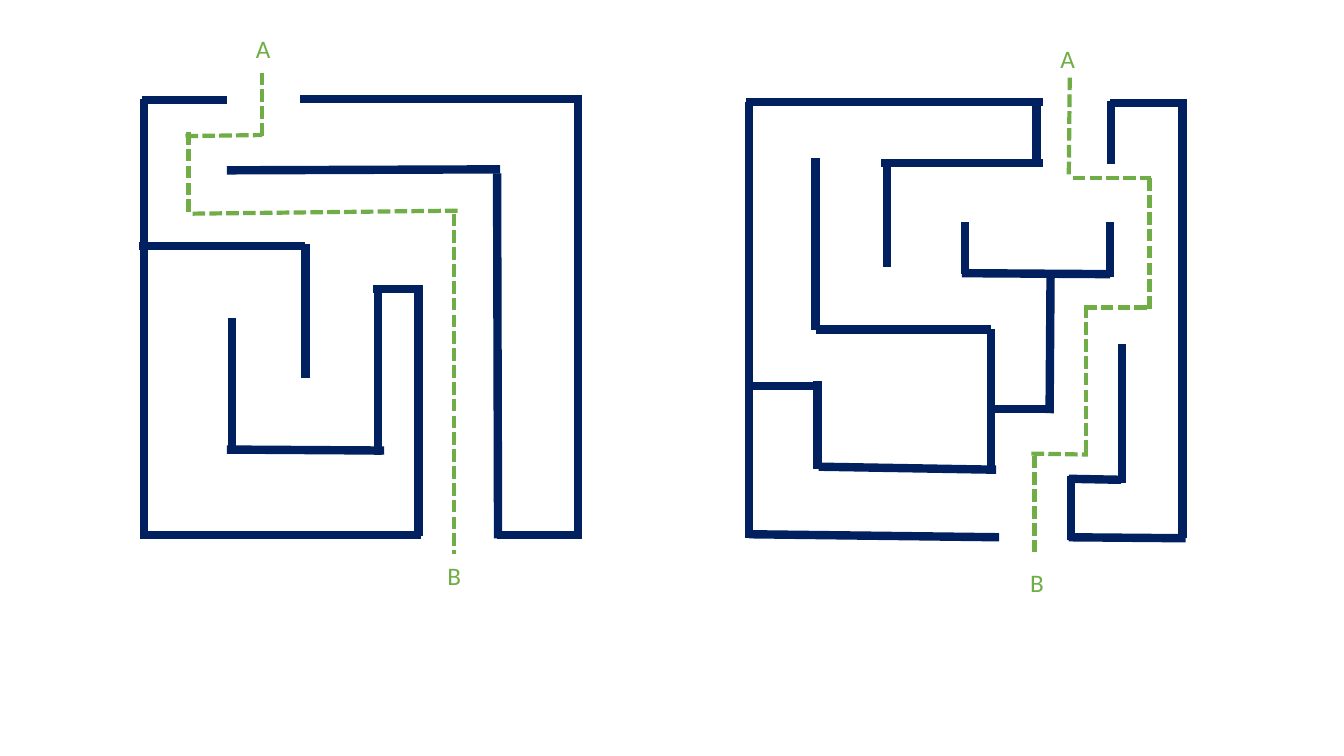
from pptx import Presentation
from pptx import util as u
from pptx.dml.color import RGBColor
from pptx.enum import dml, shapes, text
from pptx.oxml.ns import qn
from lxml import etree

COLORS = {"wall": "002060", "route": "70AD47"}
MAZE_SIZE = (4.3, 4.33)
LABEL_SIZE = (0.47, 0.4)

# Segments are (x1, y1, x2, y2) in inches from the maze's top left corner.
LEFT_MAZE = {
    "walls": [
        (-0.04, 4.33, 2.75, 4.33), (3.5, 4.33, 4.34, 4.33),
        (3.5, 0.74, 3.51, 4.36), (1.55, 0, 4.34, 0),
        (-0.02, 0.01, 0.82, 0.01), (0.82, 0.71, 3.53, 0.7),
        (-0.05, 1.46, 1.6, 1.46), (1.6, 1.44, 1.6, 2.77),
        (0.87, 2.17, 0.87, 3.5), (0.82, 3.48, 2.38, 3.49),
        (2.32, 1.89, 2.32, 3.53), (2.27, 1.89, 2.72, 1.89),
        (2.72, 1.85, 2.72, 4.34),
    ],
    "route": [
        (1.17, -0.26, 1.17, 0.39), (0.41, 0.37, 1.17, 0.36),
        (0.44, 0.33, 0.44, 1.14), (0.48, 1.14, 3.11, 1.11),
        (3.07, 1.14, 3.07, 4.52),
    ],
    "labels": {"A": (1.01, -0.7), "B": (2.91, 4.53)},
}
RIGHT_MAZE = {
    "walls": [
        (0, 4.29, 2.48, 4.32), (3.17, 4.32, 4.33, 4.33),
        (-0.03, 0, 2.91, 0), (3.58, 0.01, 4.34, 0.01),
        (0.69, 3.62, 2.45, 3.65), (0.68, 2.77, 0.68, 3.64),
        (0.66, 2.26, 2.4, 2.26), (0.66, 0.56, 0.66, 2.26),
        (1.37, 0.6, 1.37, 1.64), (1.31, 0.61, 2.91, 0.61),
        (2.85, -0.04, 2.85, 0.61), (2.14, 1.19, 2.14, 1.71),
        (2.11, 1.7, 3.58, 1.71), (3.58, 1.19, 3.58, 1.74),
        (3.59, -0.01, 3.59, 0.62), (2.4, 2.25, 2.4, 3.63),
        (0, 2.82, 0.69, 2.82), (3.19, 3.71, 3.19, 4.35),
        (3.17, 3.74, 3.69, 3.75), (3.7, 2.4, 3.7, 3.78),
        (2.99, 1.71, 2.98, 3.09), (2.4, 3.05, 2.98, 3.05),
    ],
    "route": [
        (3.18, -0.24, 3.17, 0.76), (3.21, 0.76, 3.99, 0.76),
        (3.97, 0.76, 3.97, 2.09), (3.32, 2.04, 3.96, 2.04),
        (3.34, 2.02, 3.34, 3.5), (2.8, 3.49, 3.36, 3.5),
        (2.83, 3.51, 2.83, 4.5),
    ],
    "labels": {"A": (2.99, -0.63), "B": (2.69, 4.57)},
}


def add_line(slide, left, top, segment, color, width, dash=None):
    x1, y1, x2, y2 = segment
    line = slide.shapes.add_connector(
        shapes.MSO_CONNECTOR.STRAIGHT,
        u.Inches(left + x1), u.Inches(top + y1),
        u.Inches(left + x2), u.Inches(top + y2))
    line.line.color.rgb = RGBColor.from_string(COLORS[color])
    line.line.width = u.Pt(width)
    if dash is not None:
        line.line.dash_style = dash
    etree.SubElement(line._element.spPr, qn("a:effectLst"))


def add_label(slide, left, top, letter):
    width, height = LABEL_SIZE
    label = slide.shapes.add_textbox(
        u.Inches(left), u.Inches(top), u.Inches(width), u.Inches(height))
    frame = label.text_frame
    frame.word_wrap = True
    frame.auto_size = text.MSO_AUTO_SIZE.SHAPE_TO_FIT_TEXT
    run = frame.paragraphs[0].add_run()
    run.text = letter
    run.font.name = "Calibri"
    run.font.size = u.Pt(18)
    run.font.color.rgb = RGBColor.from_string(COLORS["route"])


def add_maze(slide, left, top, maze):
    """Draw the outer sides, inner walls, dashed route and end labels."""
    width, height = MAZE_SIZE
    sides = [(x, 0, x, height) for x in (0, width)]
    for wall in sides + maze["walls"]:
        add_line(slide, left, top, wall, "wall", 6)
    for step in maze["route"]:
        add_line(slide, left, top, step, "route", 3,
                 dml.MSO_LINE.SQUARE_DOT)
    for letter, (x, y) in maze["labels"].items():
        add_label(slide, left + x, top + y, letter)


def main():
    presentation = Presentation()
    presentation.slide_width = u.Inches(13.33)
    presentation.slide_height = u.Inches(7.5)
    slide = presentation.slides.add_slide(presentation.slide_layouts[6])
    add_maze(slide, 1.43, 0.98, LEFT_MAZE)
    add_maze(slide, 7.43, 1.01, RIGHT_MAZE)
    presentation.save("out.pptx")


if __name__ == "__main__":
    main()
